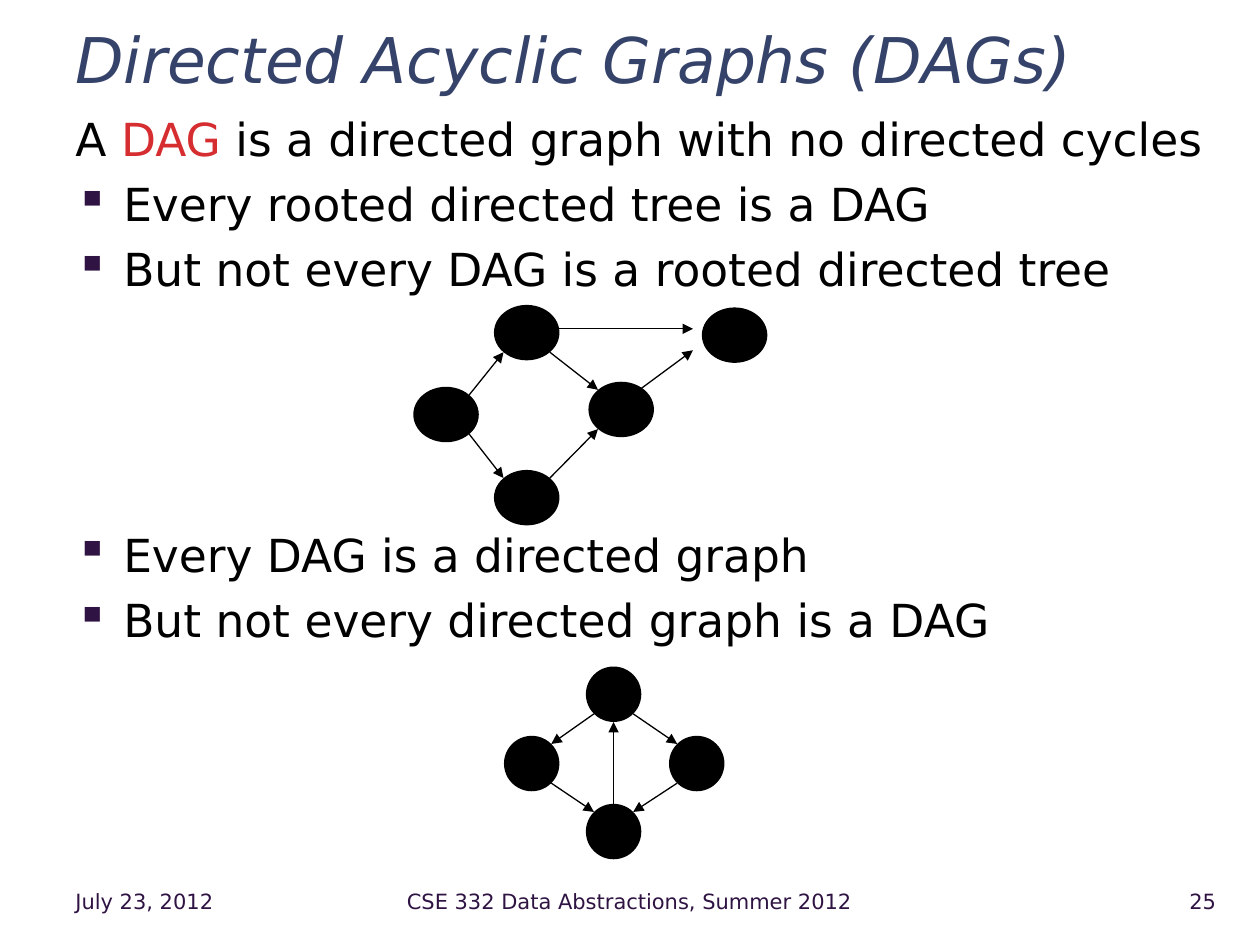
from math import copysign, sqrt

from pptx import Presentation
from pptx.dml.color import RGBColor
from pptx.enum.shapes import MSO_CONNECTOR, MSO_SHAPE
from pptx.enum.text import MSO_ANCHOR, PP_ALIGN
from pptx.oxml.ns import qn
from pptx.util import Inches, Pt
from lxml.etree import SubElement

COLORS = {"title": "35436A", "body": "000000", "key": "D62D31",
          "footer": "2F1343", "graph": "000000"}


def rgb(name):
    return RGBColor.from_string(COLORS[name])


def write(paragraph, text, *, size, color, italic=False):
    run = paragraph.add_run()
    run.text = text
    run.font.name = "DejaVu Sans"
    run.font.size = Pt(size)
    run.font.italic = italic
    run.font.color.rgb = rgb(color)


def add_bullet(paragraph):
    properties = paragraph._p.get_or_add_pPr()
    properties.set("marL", str(Inches(0.38)))
    properties.set("indent", str(-Inches(0.38)))
    color = SubElement(properties, qn("a:buClr"))
    SubElement(color, qn("a:srgbClr"), val=COLORS["footer"])
    SubElement(properties, qn("a:buChar"), char="▪")


def boundary(center, toward, size):
    deltas = [b - a for a, b in zip(center, toward)]
    scale = 1 / sqrt(sum(1 for delta in deltas if delta))
    return [c + (copysign(extent / 2 * scale, delta) if delta else 0)
            for c, delta, extent in zip(center, deltas, size)]


class SlideBuilder:
    def __init__(self, slide):
        self.slide = slide

    def text_frame(self, left, top, width, height, anchor=MSO_ANCHOR.TOP):
        box = self.slide.shapes.add_textbox(
            Inches(left), Inches(top), Inches(width), Inches(height))
        frame = box.text_frame
        frame.word_wrap = True
        frame.vertical_anchor = anchor
        return frame

    def title(self, text):
        paragraph = self.text_frame(0.5, 0.17, 9.25, 0.53, MSO_ANCHOR.MIDDLE).paragraphs[0]
        paragraph.line_spacing = 1.1
        write(paragraph, text, size=36, color="title", italic=True)

    def body(self, lead, bullets):
        frame = self.text_frame(0.5, 0.83, 9.25, 6)
        opening = frame.paragraphs[0]
        for text, color in lead:
            write(opening, text, size=26, color=color)
        for text, gap in bullets:
            bullet = frame.add_paragraph()
            bullet.space_before = Pt(gap)
            add_bullet(bullet)
            write(bullet, text, size=26, color="body")

    def footer(self, text, left, width, align):
        paragraph = self.text_frame(left, 6.95, width, 0.4, MSO_ANCHOR.MIDDLE).paragraphs[0]
        paragraph.alignment = align
        write(paragraph, text, size=12, color="footer")

    def node(self, group, center, size):
        (x, y), (width, height) = center, size
        ellipse = group.shapes.add_shape(
            MSO_SHAPE.OVAL, Inches(x - width / 2), Inches(y - height / 2),
            Inches(width), Inches(height))
        ellipse.shadow.inherit = False
        ellipse.fill.solid()
        ellipse.fill.fore_color.rgb = rgb("graph")
        ellipse.line.fill.background()

    def arrow(self, group, start, end):
        edge = group.shapes.add_connector(
            MSO_CONNECTOR.STRAIGHT, *(Inches(value) for value in (*start, *end)))
        edge.line.color.rgb = rgb("graph")
        edge.line.width = Pt(0.75)
        SubElement(edge.line._get_or_add_ln(), qn("a:tailEnd"), type="triangle")
        SubElement(edge._element.spPr, qn("a:effectLst"))

    def graph(self, nodes, edges, size, loose_arrows=()):
        group = self.slide.shapes.add_group_shape()
        for center in nodes.values():
            self.node(group, center, size)
        for source, target in edges:
            start, end = nodes[source], nodes[target]
            self.arrow(group, boundary(start, end, size), boundary(end, start, size))
        for start, end in loose_arrows:
            self.arrow(group, start, end)


def main():
    presentation = Presentation()
    presentation.slide_width = Inches(10)
    presentation.slide_height = Inches(7.5)
    builder = SlideBuilder(presentation.slides.add_slide(presentation.slide_layouts[6]))

    builder.title("Directed Acyclic Graphs (DAGs)")
    builder.body(
        [("A ", "body"), ("DAG", "key"),
         (" is a directed graph with no directed cycles", "body")],
        [("Every rooted directed tree is a DAG", 6.1),
         ("But not every DAG is a rooted directed tree", 6.1),
         ("Every DAG is a directed graph", 132),
         ("But not every directed graph is a DAG", 6.1)])

    builder.footer("July 23, 2012", 0.5, 1.75, PP_ALIGN.LEFT)
    builder.footer("CSE 332 Data Abstractions, Summer 2012", 2.32, 5.35, PP_ALIGN.CENTER)
    builder.footer("25", 8.89, 0.86, PP_ALIGN.RIGHT)

    builder.graph(
        {"root": (3.54, 3.29), "join": (4.93, 3.25), "upper": (4.18, 2.64),
         "lower": (4.18, 3.95), "sink": (5.83, 2.66)},
        [("root", "lower"), ("root", "upper"), ("upper", "join"), ("lower", "join")],
        (0.52, 0.44),
        [((4.42, 2.61), (5.5, 2.61)), ((5.08, 3.09), (5.5, 2.78))])
    builder.graph(
        {"top": (4.87, 5.51), "bottom": (4.87, 6.6),
         "right": (5.53, 6.06), "left": (4.22, 6.06)},
        [("top", "left"), ("top", "right"), ("right", "bottom"),
         ("left", "bottom"), ("bottom", "top")],
        (0.44, 0.44))

    presentation.save("out.pptx")


if __name__ == "__main__":
    main()
